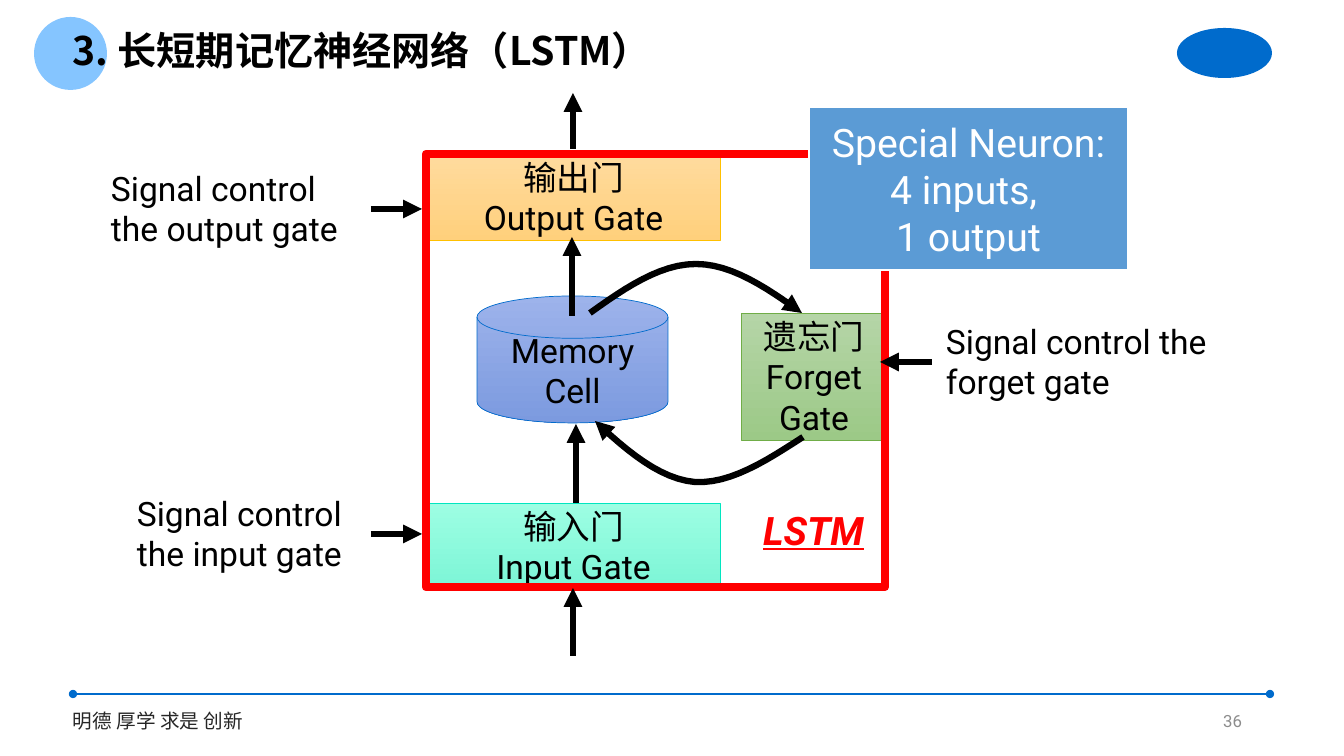
from lxml.etree import SubElement
from pptx import Presentation
from pptx.dml.color import RGBColor
from pptx.enum.shapes import MSO_CONNECTOR, MSO_SHAPE
from pptx.enum.text import MSO_ANCHOR, PP_ALIGN
from pptx.oxml.ns import qn
from pptx.util import Pt

PX = 914400 / 100.8
LEFT, MID, RIGHT = PP_ALIGN.LEFT, PP_ALIGN.CENTER, PP_ALIGN.RIGHT
TOP, CORE = MSO_ANCHOR.TOP, MSO_ANCHOR.MIDDLE
tint = RGBColor.from_string


def write(shape, lines, size, color="000000", align=MID, anchor=CORE, face="Roboto"):
    frame = shape.text_frame
    frame.word_wrap = True
    frame.vertical_anchor = anchor
    frame.text = "\n".join(lines)
    for para in frame.paragraphs:
        para.alignment = align
        para.font.size = Pt(size)
        para.font.name = face
        para.font.color.rgb = tint(color)
    return frame.paragraphs[0]


def stroke(shape, color, width, **ends):
    shape.line.color.rgb = tint(color)
    shape.line.width = Pt(width)
    props = shape.element.spPr
    for end, kind in ends.items():
        SubElement(props.find(qn("a:ln")), qn("a:" + end), type=kind)
    if props.find(qn("a:effectLst")) is None:
        SubElement(props, qn("a:effectLst"))


deck = Presentation()
deck.slide_width, deck.slide_height = int(1344 * PX), int(756 * PX)
slide = deck.slides.add_slide(deck.slide_layouts[6])
shapes = slide.shapes

# Title dot and plain emblem
for x, y, w, h, color in [(34, 17, 73, 73, "85C5FF"), (1177, 28, 95, 50, "006BCC")]:
    dot = shapes.add_shape(MSO_SHAPE.OVAL, *[int(v * PX) for v in (x, y, w, h)])
    dot.shadow.inherit = False
    dot.fill.solid()
    dot.fill.fore_color.rgb = tint(color)
    dot.line.fill.background()

# Footer rule
rule = shapes.add_connector(MSO_CONNECTOR.STRAIGHT,
                            *[int(v * PX) for v in (73, 694, 1270, 694)])
stroke(rule, "006BCC", 1.75, headEnd="oval", tailEnd="oval")

# Gates and memory cell
RECT, DISK = MSO_SHAPE.RECTANGLE, MSO_SHAPE.FLOWCHART_MAGNETIC_DISK
gates = [
    (DISK, 477, 296, 191, 127, "9DB3EB", "7C9ADF", "006BCC", ["Memory", "Cell"]),
    (RECT, 427, 503, 293, 86, "9DFEE3", "7CF5D6", "01E6C0", ["输入门", "Input Gate"]),
    (RECT, 427, 154, 293, 86, "FFDB9E", "FFD07C", "FFC000", ["输出门", "Output Gate"]),
    (RECT, 741, 313, 146, 127, "B5D5A7", "9CC987", "70AD47", ["遗忘门Forget Gate"]),
]
for kind, x, y, w, h, light, dark, edge, lines in gates:
    gate = shapes.add_shape(kind, *[int(v * PX) for v in (x, y, w, h)])
    gate.shadow.inherit = False
    gate.fill.gradient()
    gate.fill.gradient_angle = 270
    for stop, color in zip(gate.fill.gradient_stops, (light, dark)):
        stop.color.rgb = tint(color)
    stroke(gate, edge, 0.5)
    write(gate, lines, 24)

# Curved arrows, each made of two cubic arcs
curves = [
    [(590, 313), (625, 288), (660, 264), (696, 264), (732, 264), (767, 288), (802, 313)],
    [(803, 437), (766, 461), (730, 484), (695, 482), (660, 479), (627, 451), (595, 421)],
]
STEPS = 12
for knots in curves:
    points = []
    for first in (0, 3):
        a, b, c, d = knots[first:first + 4]
        for step in range(1, STEPS + 1):
            t = step / STEPS
            u = 1 - t
            points.append([(u**3 * a[i] + 3 * u * u * t * b[i] + 3 * u * t * t * c[i]
                            + t**3 * d[i]) * PX for i in (0, 1)])
    pen = shapes.build_freeform(knots[0][0] * PX, knots[0][1] * PX)
    pen.add_line_segments(points, close=False)
    curve = pen.convert_to_shape()
    curve.shadow.inherit = False
    curve.fill.background()
    stroke(curve, "000000", 4.5, tailEnd="triangle")

# Red frame and neuron note
for x, y, w, h, fill, edge, width in [
    (426, 154, 459, 433, None, "FF0000", 6),
    (809, 107, 319, 163, "5B9BD5", "FFFFFF", 1.5),
]:
    box = shapes.add_shape(RECT, *[int(v * PX) for v in (x, y, w, h)])
    box.shadow.inherit = False
    if fill:
        box.fill.solid()
        box.fill.fore_color.rgb = tint(fill)
        write(box, ["Special Neuron:", "4 inputs, ", "1 output"], 28, "FFFFFF")
    else:
        box.fill.background()
    stroke(box, edge, width)

# Straight arrows
for ends in [
    (371, 209, 422, 209), (371, 534, 422, 534), (573, 656, 573, 588),
    (576, 503, 576, 424), (573, 149, 573, 93), (572, 316, 572, 237),
    (932, 362, 880, 362),
]:
    arrow = shapes.add_connector(MSO_CONNECTOR.STRAIGHT, *[int(v * PX) for v in ends])
    stroke(arrow, "000000", 4.5, tailEnd="triangle")

# Title, labels and footer text
texts = [
    (63, 29, 942, 47, "3. 长短期记忆神经网络（LSTM）", 28, "000000", LEFT, CORE),
    (127, 488, 270, 92, "Signal control the input gate", 24, "000000", LEFT, TOP),
    (101, 163, 266, 92, "Signal control the output gate", 24, "000000", LEFT, TOP),
    (936, 316, 318, 92, "Signal control the forget gate", 24, "000000", LEFT, TOP),
    (750, 501, 127, 58, "LSTM", 28, "FF0000", MID, TOP),
    (63, 704, 258, 34, "明德 厚学 求是 创新", 14, "262626", LEFT, TOP),
    (950, 701, 302, 40, "36", 12, "8C8C8C", RIGHT, CORE),
]
for x, y, w, h, words, size, color, align, anchor in texts:
    label = shapes.add_textbox(*[int(v * PX) for v in (x, y, w, h)])
    title = words.startswith("3.")
    face = "Noto Sans CJK SC" if title else "Roboto"
    para = write(label, [words], size, color, align, anchor, face)
    if title:
        para.line_spacing = 0.9
    para.font.bold = size == 28
    if words == "LSTM":
        para.font.italic = para.font.underline = True

deck.save("out.pptx")
